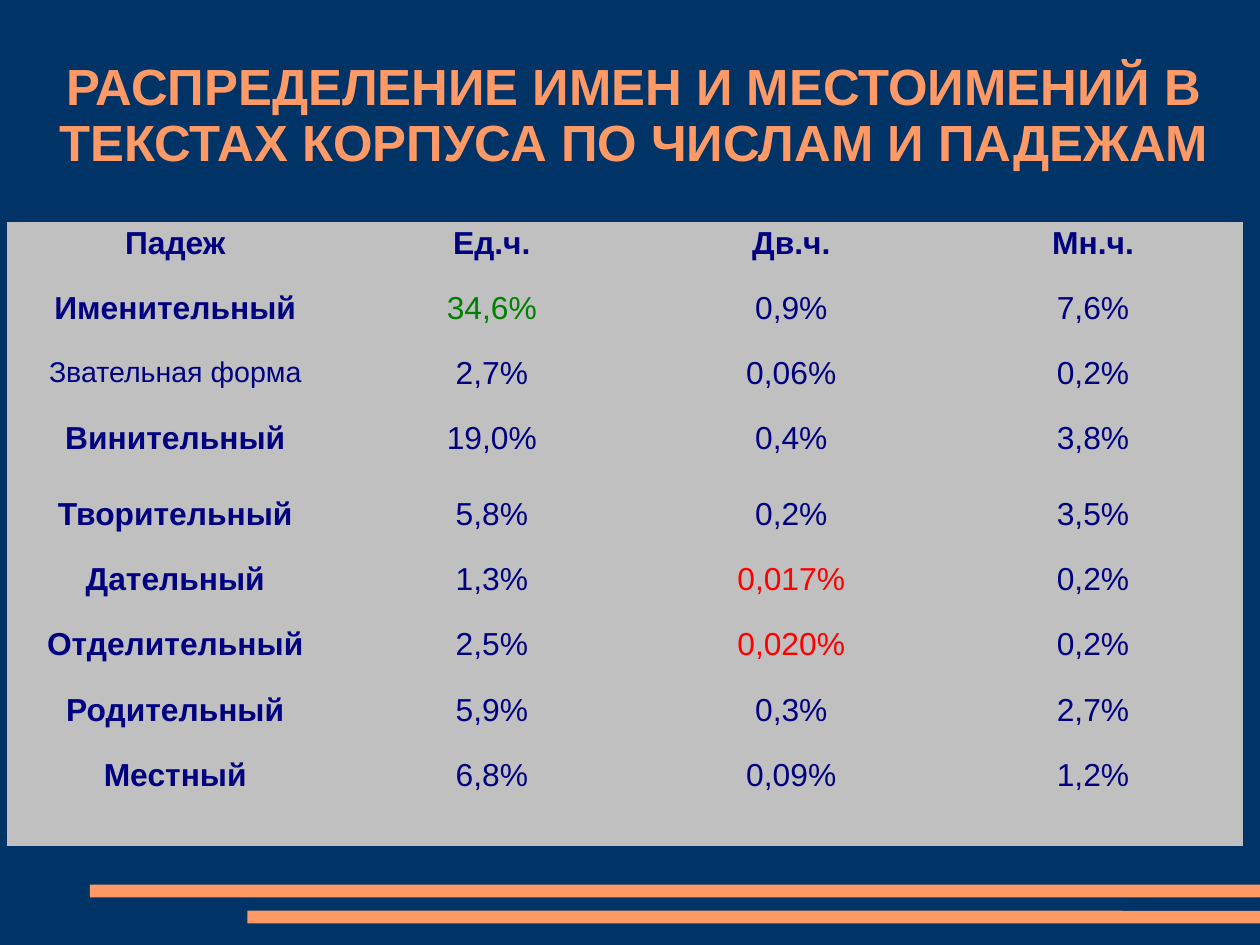
from dataclasses import dataclass

import pptx
import pptx.dml.color
import pptx.enum.shapes
import pptx.enum.text
import pptx.util

Cm = pptx.util.Cm


@dataclass(frozen=True)
class Theme:
    font: str = "Arial"
    background: str = "003366"
    accent: str = "FF9966"
    cell: str = "C0C0C0"
    text: str = "000080"
    highest: str = "008000"
    lowest: str = "FF0000"
    title_size: int = 32
    table_size: int = 20
    minor_size: int = 18
    line_spacing: float = 0.93


@dataclass(frozen=True)
class Box:
    left: float
    top: float
    width: float
    height: float

    def lengths(self):
        return Cm(self.left), Cm(self.top), Cm(self.width), Cm(self.height)


THEME = Theme()
PAGE = Box(0, 0, 28, 21)
TITLE = "РАСПРЕДЕЛЕНИЕ ИМЕН И МЕСТОИМЕНИЙ В ТЕКСТАХ КОРПУСА ПО ЧИСЛАМ И ПАДЕЖАМ"
CASES = [
    ("Падеж", "Ед.ч.", "Дв.ч.", "Мн.ч."),
    ("Именительный", "34,6%", "0,9%", "7,6%"),
    ("Звательная форма", "2,7%", "0,06%", "0,2%"),
    ("Винительный", "19,0%", "0,4%", "3,8%"),
    ("Творительный", "5,8%", "0,2%", "3,5%"),
    ("Дательный", "1,3%", "0,017%", "0,2%"),
    ("Отделительный", "2,5%", "0,020%", "0,2%"),
    ("Родительный", "5,9%", "0,3%", "2,7%"),
    ("Местный", "6,8%", "0,09%", "1,2%"),
]
MINOR_CASE = "Звательная форма"
VALUE_COLORS = {"34,6%": THEME.highest, "0,017%": THEME.lowest, "0,020%": THEME.lowest}
COLUMN_WIDTHS = [7.49, 6.58, 6.73, 6.68]
ROW_HEIGHT = 1.45
TALL_ROWS = {3: 1.68, 8: 2.03}
PLAIN_TABLE_STYLE = "{2D5ABB26-0587-4C30-8999-92F81FD0307C}"


def paint(fill, color):
    fill.solid()
    fill.fore_color.rgb = pptx.dml.color.RGBColor.from_string(color)


def write(frame, text, size, color, bold):
    frame.text = text
    para = frame.paragraphs[0]
    para.alignment = pptx.enum.text.PP_ALIGN.CENTER
    para.line_spacing = THEME.line_spacing
    font = para.runs[0].font
    font.name = THEME.font
    font.size = pptx.util.Pt(size)
    font.bold = bold
    font.color.rgb = pptx.dml.color.RGBColor.from_string(color)


def add_title(page, box):
    frame = page.shapes.add_textbox(*box.lengths()).text_frame
    frame.word_wrap = True
    frame.vertical_anchor = pptx.enum.text.MSO_ANCHOR.MIDDLE
    frame.margin_left = frame.margin_right = frame.margin_bottom = 0
    frame.margin_top = Cm(0.08)
    write(frame, TITLE, THEME.title_size, THEME.accent, True)


def add_case_table(page, box):
    graphic = page.shapes.add_table(len(CASES), len(COLUMN_WIDTHS), *box.lengths())
    table = graphic.table
    table.first_row = table.horz_banding = False
    table._tbl.tblPr.find(pptx.oxml.ns.qn("a:tableStyleId")).text = PLAIN_TABLE_STYLE
    for column, width in zip(table.columns, COLUMN_WIDTHS):
        column.width = Cm(width)
    for index, row in enumerate(table.rows):
        row.height = Cm(TALL_ROWS.get(index, ROW_HEIGHT))
        for position, (cell, text) in enumerate(zip(row.cells, CASES[index])):
            paint(cell.fill, THEME.cell)
            cell.margin_left = cell.margin_right = Cm(0.1)
            cell.margin_top = cell.margin_bottom = Cm(0.13)
            minor = text == MINOR_CASE
            size = THEME.minor_size if minor else THEME.table_size
            bold = (index == 0 or position == 0) and not minor
            write(cell.text_frame, text, size, VALUE_COLORS.get(text, THEME.text), bold)


def add_footer_bars(page, box):
    thickness = 0.28
    for indent, drop in ((0, 0), (3.5, box.height - thickness)):
        bar_box = Box(box.left + indent, box.top + drop, box.width - indent, thickness)
        bar = page.shapes.add_shape(
            pptx.enum.shapes.MSO_SHAPE.ROUNDED_RECTANGLE, *bar_box.lengths()
        )
        bar.adjustments[0] = 0.02
        bar.shadow.inherit = False
        paint(bar.fill, THEME.accent)
        bar.line.fill.background()


def main():
    deck = pptx.Presentation()
    deck.slide_width, deck.slide_height = Cm(PAGE.width), Cm(PAGE.height)
    page = deck.slides.add_slide(deck.slide_layouts[6])
    paint(page.background.fill, THEME.background)
    add_footer_bars(page, Box(2, 19.66, PAGE.width - 2, 0.86))
    add_title(page, Box(0.8, 0.8, 26.6, 3.5))
    add_case_table(page, Box(0.15, 4.93, sum(COLUMN_WIDTHS), 13.82))
    deck.save("out.pptx")


if __name__ == "__main__":
    main()
